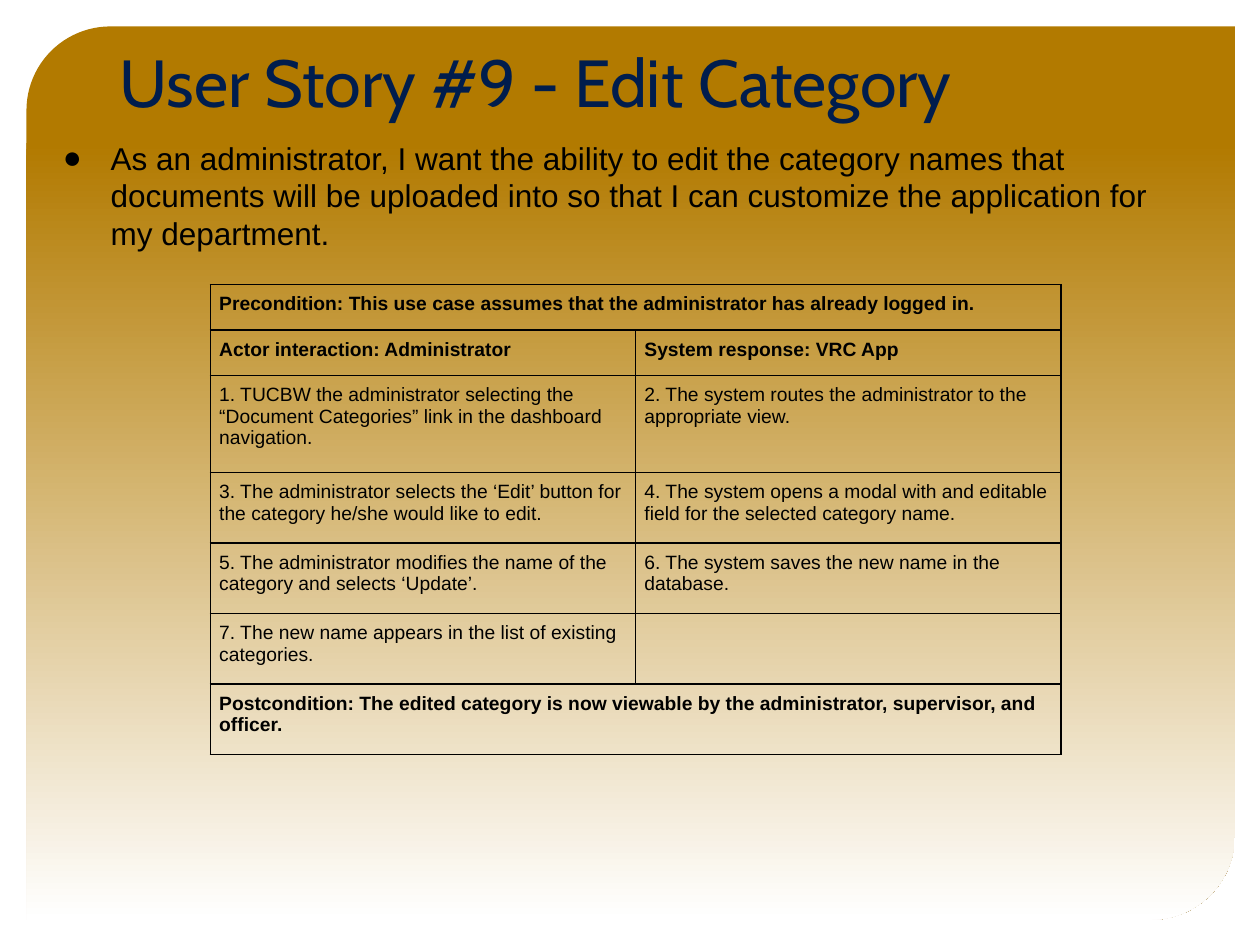
"""Build the user story slide for editing a category."""
from copy import deepcopy
from typing import NamedTuple

from lxml import etree
from pptx import Presentation
from pptx.dml.color import RGBColor
from pptx.enum import shapes, text
from pptx.oxml import ns
from pptx.util import Inches, Pt

GOLD = RGBColor(0xB2, 0x7A, 0x00)
WHITE = RGBColor(0xFF, 0xFF, 0xFF)
NAVY = RGBColor(0x00, 0x1D, 0x4D)
BLACK = RGBColor(0x00, 0x00, 0x00)


class Box(NamedTuple):
    left: float
    top: float
    width: float
    height: float

    def place(self) -> tuple:
        return tuple(Inches(side) for side in self)


class Style(NamedTuple):
    name: str
    size: float
    color: RGBColor
    bold: bool = False


class Row(NamedTuple):
    height: float
    cells: tuple
    bold: bool = False


TITLE = Style("Cabin", 38, NAVY)
STORY = Style("Arial", 18, BLACK)
CELL = Style("Arial", 11, BLACK)

ROWS = (
    Row(0.36, ("Precondition: This use case assumes that the administrator has already logged in.",), True),
    Row(0.36, ("Actor interaction: Administrator", "System response: VRC App"), True),
    Row(0.77, ("1. TUCBW the administrator selecting the “Document Categories” link in the dashboard navigation.",
               "2. The system routes the administrator to the appropriate view.")),
    Row(0.56, ("3. The administrator selects the ‘Edit’ button for the category he/she would like to edit.",
               "4. The system opens a modal with and editable field for the selected category name.")),
    Row(0.56, ("5. The administrator modifies the name of the category and selects ‘Update’.",
               "6. The system saves the new name in the database.")),
    Row(0.56, ("7. The new name appears in the list of existing categories.", "")),
    Row(0.56, ("Postcondition: The edited category is now viewable by the administrator, supervisor, and officer.",),
        True),
)


def set_font(para, style: Style) -> None:
    font = para.font
    font.name, font.size, font.bold = style.name, Pt(style.size), style.bold
    font.color.rgb = style.color


def add_panel(slide, box: Box) -> None:
    panel = slide.shapes.add_shape(shapes.MSO_SHAPE.ROUND_2_DIAG_RECTANGLE, *box.place())
    panel.shadow.inherit = False
    panel.adjustments[0], panel.adjustments[1] = 0.094, 0
    panel.line.fill.background()
    panel.fill.gradient()
    panel.fill.gradient_angle = 270
    for stop, color, spot in zip(panel.fill.gradient_stops, (GOLD, WHITE), (0.13, 1)):
        stop.color.rgb, stop.position = color, spot
    first = panel._element.spPr.find(".//" + ns.qn("a:gs"))
    start = deepcopy(first)
    start.set("pos", "0")
    first.addprevious(start)


def add_text(slide, box: Box, words: str, style: Style, inset: float, anchor):
    frame = slide.shapes.add_textbox(*box.place()).text_frame
    frame.word_wrap = True
    frame.vertical_anchor = anchor
    frame.margin_left = frame.margin_right = Inches(0.1)
    frame.margin_top = frame.margin_bottom = Inches(inset)
    para = frame.paragraphs[0]
    para.text = words
    return para


def add_bullet(para, indent: float, hang: float) -> None:
    props = para._p.get_or_add_pPr()
    props.set("marL", str(Inches(indent)))
    props.set("indent", str(-Inches(hang)))
    etree.SubElement(props, ns.qn("a:buFont"), typeface="Arial")
    etree.SubElement(props, ns.qn("a:buChar"), char="●")


def add_edges(cell) -> None:
    props = cell._tc.get_or_add_tcPr()
    for spot, side in enumerate(("lnL", "lnR", "lnT", "lnB")):
        line = etree.Element(ns.qn("a:" + side), w=str(Pt(1)))
        fill = etree.SubElement(line, ns.qn("a:solidFill"))
        etree.SubElement(fill, ns.qn("a:srgbClr"), val=str(BLACK))
        props.insert(spot, line)


def add_grid(slide, box: Box, rows: tuple) -> None:
    table = slide.shapes.add_table(len(rows), 2, *box.place()).table
    table.first_row = table.horz_banding = False
    for line, row in zip(table.rows, rows):
        line.height = Inches(row.height)
        for cell in line.cells:
            cell.fill.background()
            add_edges(cell)
            cell.margin_left = cell.margin_right = Inches(0.07)
            cell.margin_top = cell.margin_bottom = Inches(0.07)
            set_font(cell.text_frame.paragraphs[0], CELL._replace(bold=row.bold))
        for cell, words in zip(line.cells, row.cells):
            cell.text_frame.paragraphs[0].text = words
        if len(row.cells) == 1:
            line.cells[0].merge(line.cells[1])


def main() -> None:
    deck = Presentation()
    deck.slide_width, deck.slide_height = Inches(10), Inches(7.5)
    slide = deck.slides.add_slide(deck.slide_layouts[6])
    add_panel(slide, Box(0.21, 0.21, 9.59, 7.09))
    title = add_text(slide, Box(0.85, -0.13, 8.29, 1.14), "User Story #9 - Edit Category",
                     TITLE, 0.05, text.MSO_ANCHOR.BOTTOM)
    set_font(title, TITLE)
    add_grid(slide, Box(1.67, 2.26, 6.75, sum(row.height for row in ROWS)), ROWS)
    story = add_text(slide, Box(0.28, 1, 9.22, 0.81),
                     "As an administrator, I want the ability to edit the category names that documents will be "
                     "uploaded into so that I can customize the application for my department.",
                     STORY, 0.1, text.MSO_ANCHOR.TOP)
    add_bullet(story, 0.6 - 0.1, 0.38)
    set_font(story, STORY)
    deck.save("out.pptx")


if __name__ == "__main__":
    main()
